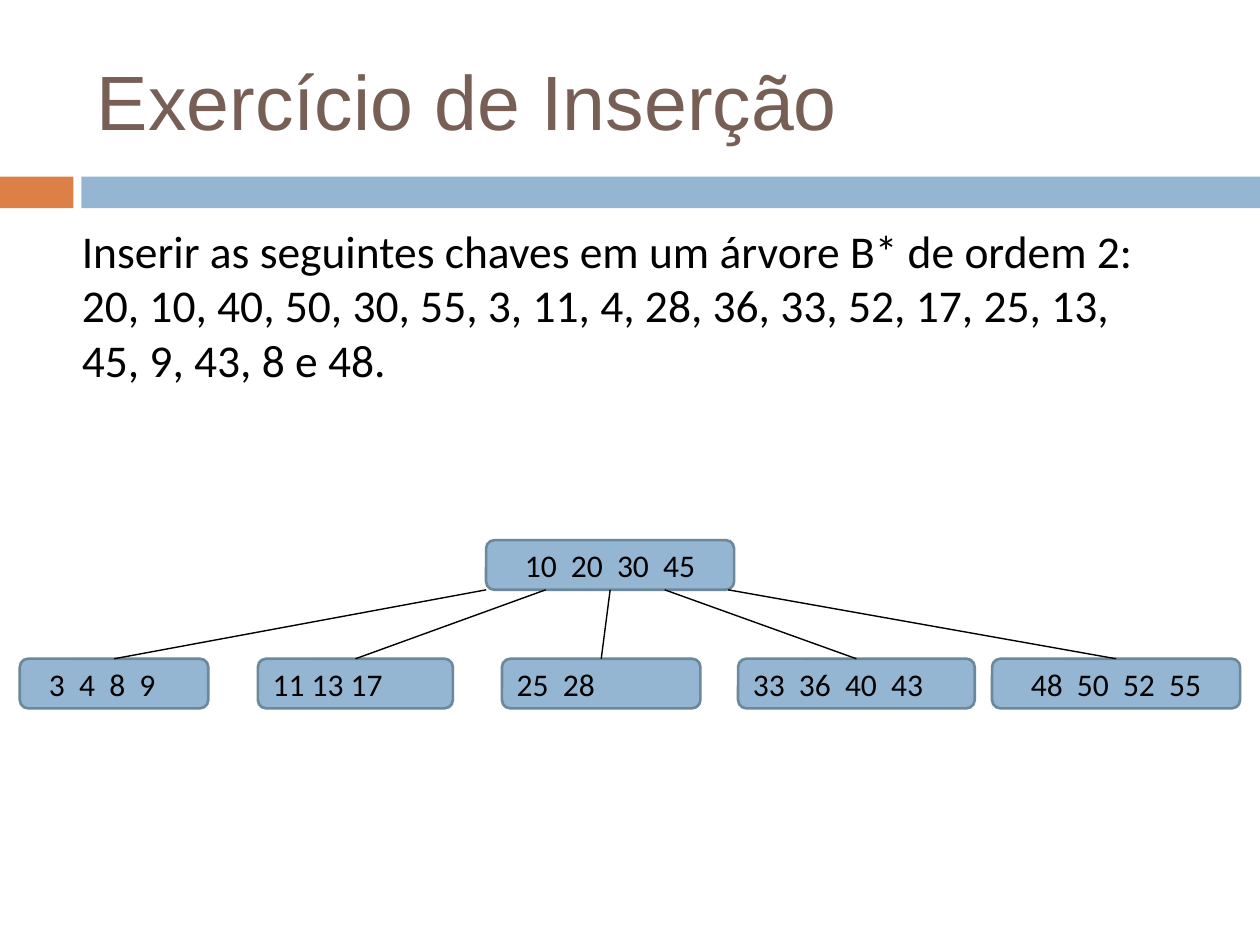
"""Build the B* tree insertion exercise slide."""
from dataclasses import dataclass

from lxml import etree
from pptx import Presentation
from pptx.dml.color import RGBColor
from pptx.enum.shapes import MSO_CONNECTOR, MSO_SHAPE
from pptx.enum.text import MSO_ANCHOR, PP_ALIGN
from pptx.oxml.ns import qn
from pptx.shapes.autoshape import Shape
from pptx.slide import Slide
from pptx.util import Cm, Pt

RECTANGLE = MSO_SHAPE.RECTANGLE
ROUNDED = MSO_SHAPE.ROUNDED_RECTANGLE
STRAIGHT = MSO_CONNECTOR.STRAIGHT
MIDDLE, TOP = MSO_ANCHOR.MIDDLE, MSO_ANCHOR.TOP
LEFT, CENTER = PP_ALIGN.LEFT, PP_ALIGN.CENTER

COLORS = {
    "accent": "DD8047",
    "node": "94B6D2",
    "border": "6D879B",
    "title": "775F55",
    "text": "000000",
}
NODE_HEIGHT = 1.0
ROOT_TOP = 10.89
LEAF_TOP = 13.28


@dataclass
class Node:
    keys: str
    left: float
    top: float
    width: float
    align: PP_ALIGN = LEFT
    inset: float = 0.25


@dataclass
class Branch:
    leaf: Node
    root_x: float


def color(name: str) -> RGBColor:
    return RGBColor.from_string(COLORS[name])


def write(shape: Shape, text: str, size: float, font: str, color_name: str,
          align: PP_ALIGN = LEFT, anchor: MSO_ANCHOR = MIDDLE) -> None:
    frame = shape.text_frame
    frame.text = text
    frame.word_wrap = True
    frame.vertical_anchor = anchor
    for paragraph in frame.paragraphs:
        paragraph.alignment = align
        for run in paragraph.runs:
            run.font.size = Pt(size)
            run.font.name = font
            run.font.color.rgb = color(color_name)


def add_bar(slide: Slide, left: float, width: float, color_name: str) -> None:
    bar = slide.shapes.add_shape(RECTANGLE, Cm(left), Cm(3.56), Cm(width), Cm(0.64))
    bar.shadow.inherit = False
    bar.fill.solid()
    bar.fill.fore_color.rgb = color(color_name)
    bar.line.fill.background()


def add_node(slide: Slide, node: Node) -> None:
    box = slide.shapes.add_shape(
        ROUNDED, Cm(node.left), Cm(node.top), Cm(node.width), Cm(NODE_HEIGHT))
    box.shadow.inherit = False
    box.fill.solid()
    box.fill.fore_color.rgb = color("node")
    box.line.color.rgb = color("border")
    box.line.width = Pt(1.5)
    write(box, node.keys, 18, "Calibri", "text", node.align)
    box.text_frame.margin_left = Cm(node.inset)


def add_branch(slide: Slide, branch: Branch) -> None:
    leaf = branch.leaf
    line = slide.shapes.add_connector(
        STRAIGHT, Cm(branch.root_x), Cm(ROOT_TOP + NODE_HEIGHT),
        Cm(leaf.left + leaf.width / 2), Cm(leaf.top))
    line.line.color.rgb = color("text")
    line.line.width = Pt(0.79)
    etree.SubElement(line._element.spPr, qn("a:effectLst"))


def main() -> None:
    presentation = Presentation()
    presentation.slide_width = Cm(25.4)
    presentation.slide_height = Cm(19.05)
    slide = presentation.slides.add_slide(presentation.slide_layouts[5])

    add_bar(slide, 0, 1.48, "accent")
    add_bar(slide, 1.64, 23.76, "node")

    title = slide.shapes.title
    title.left, title.top = Cm(1.7), Cm(0.64)
    title.width, title.height = Cm(22.65), Cm(2.75)
    write(title, "Exercício de Inserção", 44, "Arial", "title")

    statement = slide.shapes.add_textbox(Cm(1.4), Cm(4.37), Cm(22.53), Cm(3.58))
    write(statement,
          "Inserir as seguintes chaves em um árvore B* de ordem 2:\n"
          "20, 10, 40, 50, 30, 55, 3, 11, 4, 28, 36, 33, 52, 17, 25, 13, "
          "45, 9, 43, 8 e 48.",
          26, "Calibri", "text", anchor=TOP)

    root = Node("10  20  30  45", 9.8, ROOT_TOP, 5.0, CENTER)
    branches = [
        Branch(Node("3  4  8  9", 0.4, LEAF_TOP, 3.8, inset=0.54), 9.8),
        Branch(Node("11 13 17", 5.2, LEAF_TOP, 3.93), 11.0),
        Branch(Node("25  28", 10.12, LEAF_TOP, 4.0), 12.3),
        Branch(Node("33  36  40  43", 14.88, LEAF_TOP, 4.77), 13.4),
        Branch(Node("48  50  52  55", 20.0, LEAF_TOP, 5.0, CENTER), 14.68),
    ]
    add_node(slide, root)
    for branch in branches:
        add_node(slide, branch.leaf)
        add_branch(slide, branch)

    presentation.save("out.pptx")


main()
